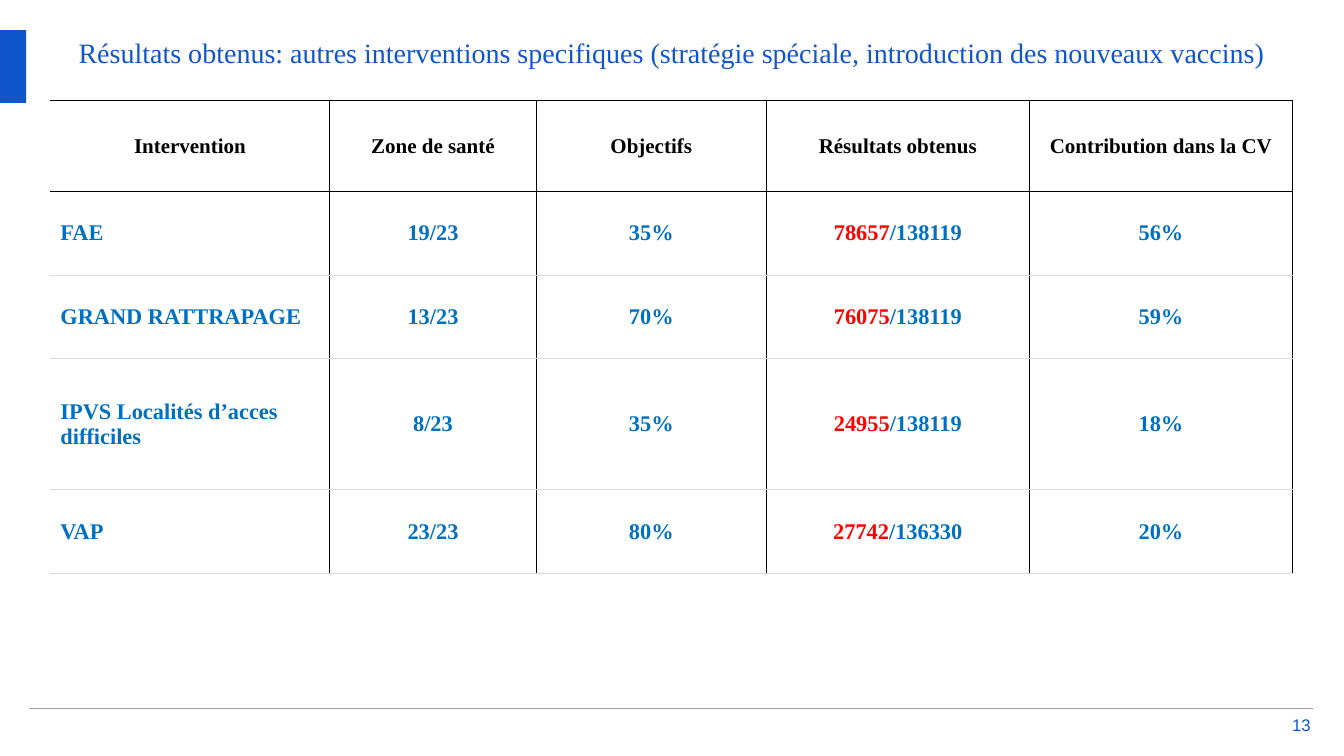
"""Build the slide on results of the specific vaccination interventions."""
from dataclasses import dataclass

import lxml.etree
import pptx
import pptx.dml.color
import pptx.enum.shapes
import pptx.enum.text
import pptx.oxml.ns
import pptx.util

EMU_PER_PX = 9144
ALIGN = pptx.enum.text.PP_ALIGN
ANCHOR = pptx.enum.text.MSO_ANCHOR


@dataclass(frozen=True)
class Theme:
    """Colours, fonts and type sizes of the slide."""
    accent: str = "1155CC"
    heading: str = "000000"
    figure: str = "0070C0"
    reached: str = "FF0000"
    grid: str = "000000"
    row_rule: str = "D9D9D9"
    footer_rule: str = "9E9E9E"
    serif: str = "Times New Roman"
    sans: str = "Arial"
    title_size: int = 20
    heading_size: int = 15
    body_size: int = 16
    number_size: int = 12
    border_width: float = 0.75


THEME = Theme()
COLUMN_WIDTHS = [277, 205, 228, 261, 261]
ROW_HEIGHTS = [90, 83, 83, 130, 83]
HEADINGS = ["Intervention", "Zone de santé", "Objectifs",
            "Résultats obtenus", "Contribution dans la CV"]
INTERVENTIONS = [
    ["FAE", "19/23", "35%", ("78657", "/138119"), "56%"],
    ["GRAND RATTRAPAGE", "13/23", "70%", ("76075", "/138119"), "59%"],
    ["IPVS Localités d’acces difficiles", "8/23", "35%", ("24955", "/138119"), "18%"],
    ["VAP", "23/23", "80%", ("27742", "/136330"), "20%"],
]


def px(length):
    """Turn pixels into EMU."""
    return pptx.util.Emu(length * EMU_PER_PX)


def rgb(colour):
    """Turn a hex string into a colour."""
    return pptx.dml.color.RGBColor.from_string(colour)


def style_paragraph(para, family, size, colour, align, bold=False):
    """Set font and alignment of a paragraph."""
    para.alignment = align
    para.font.name = family
    para.font.size = pptx.util.Pt(size)
    para.font.bold = bold
    para.font.color.rgb = rgb(colour)


def add_label(page, bounds, text, family, size, align, anchor):
    """Add an accent-coloured text box without margins."""
    frame = page.shapes.add_textbox(*map(px, bounds)).text_frame
    frame.word_wrap = True
    frame.vertical_anchor = anchor
    frame.margin_left = frame.margin_right = frame.margin_top = frame.margin_bottom = 0
    para = frame.paragraphs[0]
    para.text = text
    style_paragraph(para, family, size, THEME.accent, align)


def add_accent_bar(page, bounds):
    """Add the solid bar at the slide edge."""
    bar = page.shapes.add_shape(pptx.enum.shapes.MSO_SHAPE.RECTANGLE, *map(px, bounds))
    bar.shadow.inherit = False
    bar.fill.solid()
    bar.fill.fore_color.rgb = rgb(THEME.accent)
    bar.line.fill.background()


def add_footer_rule(page, left, right, top):
    """Add the thin line above the page number."""
    rule = page.shapes.add_connector(
        pptx.enum.shapes.MSO_CONNECTOR.STRAIGHT, px(left), px(top), px(right), px(top))
    rule.line.color.rgb = rgb(THEME.footer_rule)
    rule.line.width = pptx.util.Pt(1)
    properties = rule._element.spPr
    lxml.etree.SubElement(properties, pptx.oxml.ns.qn("a:effectLst"))


def add_border(cell, side, colour):
    """Draw one cell border, or none when colour is None."""
    qn = pptx.oxml.ns.qn
    properties = cell._tc.get_or_add_tcPr()
    line = lxml.etree.SubElement(properties, qn(f"a:ln{side}"))
    if colour is None:
        lxml.etree.SubElement(line, qn("a:noFill"))
        return
    line.set("w", str(pptx.util.Pt(THEME.border_width)))
    fill = lxml.etree.SubElement(line, qn("a:solidFill"))
    lxml.etree.SubElement(fill, qn("a:srgbClr")).set("val", colour)


def fill_cell(cell, content, row, column):
    """Write and style one table cell."""
    is_heading = row == 0
    cell.vertical_anchor = ANCHOR.MIDDLE
    cell.margin_left = cell.margin_right = cell.margin_top = cell.margin_bottom = px(10)
    para = cell.text_frame.paragraphs[0]
    style_paragraph(
        para, THEME.serif,
        THEME.heading_size if is_heading else THEME.body_size,
        THEME.heading if is_heading else THEME.figure,
        ALIGN.CENTER if is_heading or column else ALIGN.LEFT, bold=True)
    parts = content if isinstance(content, tuple) else (content,)
    for part in parts:
        para.add_run().text = part
    if len(parts) > 1:
        para.runs[0].font.color.rgb = rgb(THEME.reached)
    borders = {
        "L": THEME.grid if column else None,
        "R": THEME.grid,
        "T": THEME.grid if row <= 1 else THEME.row_rule,
        "B": THEME.grid if is_heading else THEME.row_rule,
    }
    for side, colour in borders.items():
        add_border(cell, side, colour)
    cell.fill.background()


def add_results_table(page, left, top):
    """Add the table of interventions."""
    rows = [HEADINGS, *INTERVENTIONS]
    table = page.shapes.add_table(
        len(rows), len(HEADINGS), px(left), px(top),
        px(sum(COLUMN_WIDTHS)), px(sum(ROW_HEIGHTS))).table
    table.first_row = table.horz_banding = False
    for column, width in zip(table.columns, COLUMN_WIDTHS):
        column.width = px(width)
    for row, height in zip(table.rows, ROW_HEIGHTS):
        row.height = px(height)
    for row, contents in enumerate(rows):
        for column, content in enumerate(contents):
            fill_cell(table.cell(row, column), content, row, column)


def main():
    """Build and save the deck."""
    deck = pptx.Presentation()
    deck.slide_width, deck.slide_height = px(1333), px(750)
    page = deck.slides.add_slide(deck.slide_layouts[6])
    add_label(page, (50, 35, 1233, 49),
              "Résultats obtenus: autres interventions specifiques "
              "(stratégie spéciale, introduction des nouveaux vaccins)",
              THEME.serif, THEME.title_size, ALIGN.CENTER, ANCHOR.TOP)
    add_accent_bar(page, (0, 30, 26, 72))
    add_label(page, (1275, 710, 25, 18), "13",
              THEME.sans, THEME.number_size, ALIGN.RIGHT, ANCHOR.MIDDLE)
    add_footer_rule(page, 29, 1302, 703)
    add_results_table(page, 50, 100)
    deck.save("out.pptx")


if __name__ == "__main__":
    main()
